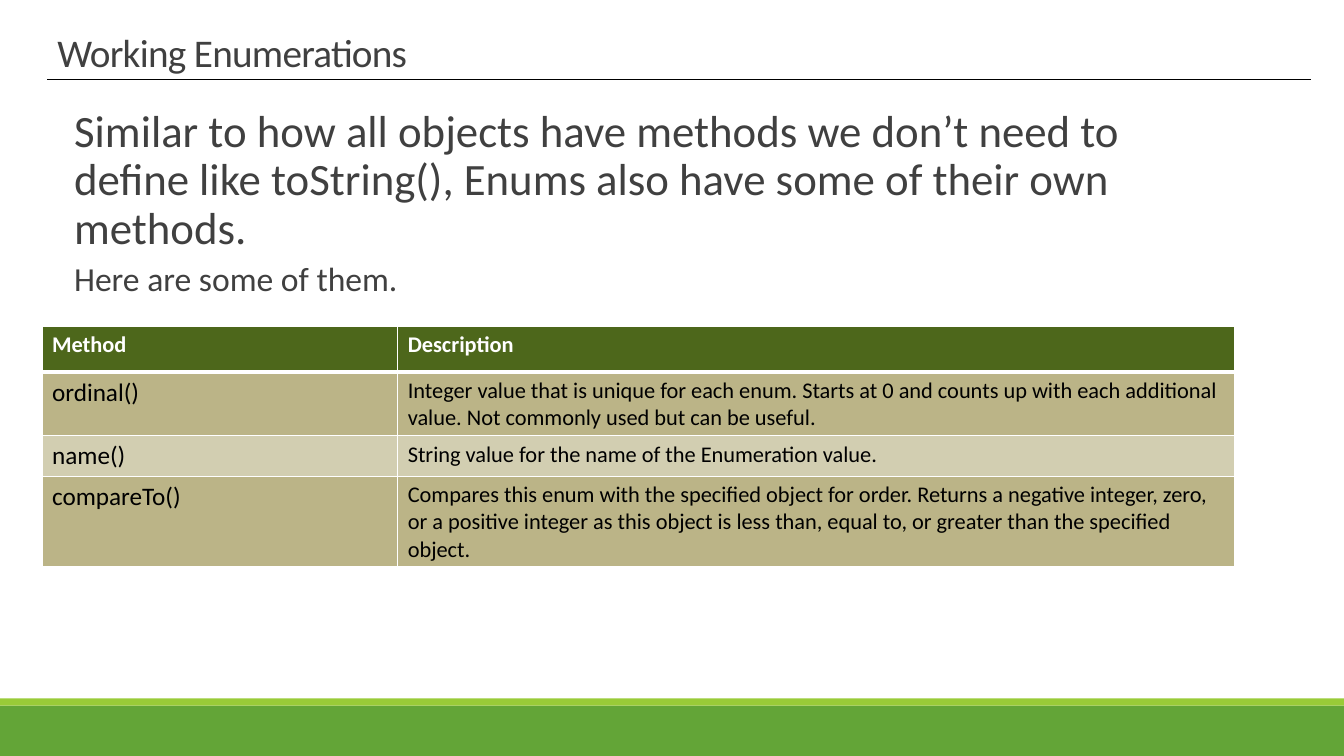
from lxml import etree
from pptx import Presentation
from pptx.dml.color import RGBColor
from pptx.enum.shapes import MSO_CONNECTOR, MSO_SHAPE
from pptx.enum.text import MSO_ANCHOR
from pptx.oxml.ns import qn
from pptx.util import Inches, Pt

RECT = MSO_SHAPE.RECTANGLE
LINE = MSO_CONNECTOR.STRAIGHT
BOTTOM = MSO_ANCHOR.BOTTOM
FONT = "Calibri"
HEX = {
    "green": "63A537", "lime": "99CB38", "gray": "404040",
    "black": "000000", "white": "FFFFFF",
    "head": "4D671B", "odd": "BBB487", "even": "D2CEB1",
}
TINT = {name: RGBColor.from_string(code) for name, code in HEX.items()}

deck = Presentation()
deck.slide_width, deck.slide_height = Inches(13.33), Inches(7.5)
COL = deck.slide_width / 32
ROW = deck.slide_height / 30
slide = deck.slides.add_slide(deck.slide_layouts[6])
shapes = slide.shapes


def grid(left, top, wide, high):
    """Turn columns and rows of the slide grid into lengths."""
    return int(left * COL), int(top * ROW), int(wide * COL), int(high * ROW)


def add_run(para, text, size, tint, bold=False):
    run = para.add_run()
    run.text = text
    font = run.font
    font.name, font.size, font.bold = FONT, Pt(size), bold
    font.color.rgb = TINT[tint]
    return run


# Footer bands
for tint, top, high in (("green", 28, 2), ("lime", 27.72, 0.28)):
    band = shapes.add_shape(RECT, *grid(0, top, 32, high))
    band.shadow.inherit = False
    band.fill.solid()
    band.fill.fore_color.rgb = TINT[tint]
    band.line.fill.background()

# Title and its rule
title = shapes.add_textbox(*grid(1.13, -3.16, 26.4, 6.36)).text_frame
title.word_wrap = True
title.vertical_anchor = BOTTOM
para = title.paragraphs[0]
para.line_spacing = 0.85
run = add_run(para, "Working Enumerations", 28, "gray")
run.font._element.set("spc", "-50")

rule = shapes.add_connector(LINE, *grid(1.13, 3.16, 31.22, 3.16))
rule.line.color.rgb = TINT["black"]
rule.line.width = Pt(1)
etree.SubElement(rule._element.spPr, qn("a:effectLst"))

# Introduction
body = shapes.add_textbox(*grid(1, 4.12, 28.4, 7.36)).text_frame
body.word_wrap = True
intro = (
    ("Similar to how all objects have methods we don’t need to define like "
     "toString(), Enums also have some of their own methods.", 32),
    ("Here are some of them.", 24),
)
for i, (text, size) in enumerate(intro):
    para = body.add_paragraph() if i else body.paragraphs[0]
    para.line_spacing = 0.9
    para.space_before = Pt(2 if i else 0)
    para.space_after = Pt(4)
    props = para._p.get_or_add_pPr()
    props.set("marL", str(Inches(0.22)))
    props.set("indent", "0")
    add_run(para, text, size, "gray")

# Table of methods
methods = (
    ("Method", "Description"),
    ("ordinal()", "Integer value that is unique for each enum. Starts at 0 and "
     "counts up with each additional value. Not commonly used but can be useful."),
    ("name()", "String value for the name of the Enumeration value."),
    ("compareTo()", "Compares this enum with the specified object for order. "
     "Returns a negative integer, zero, or a positive integer as this object is "
     "less than, equal to, or greater than the specified object."),
)
highs = (1.8, 2.52, 1.6, 3.6)
wides = (8.47, 19.92)
table = shapes.add_table(
    len(highs), len(wides), *grid(1, 12.96, sum(wides), sum(highs))).table
table.horz_banding = False
for column, wide in zip(table.columns, wides):
    column.width = int(wide * COL)
for r, texts in enumerate(methods):
    table.rows[r].height = int(highs[r] * ROW)
    tint = "head" if r == 0 else "odd" if r % 2 else "even"
    for c, text in enumerate(texts):
        cell = table.cell(r, c)
        props = cell._tc.get_or_add_tcPr()
        for side in "LRTB":
            thick = 3 if (r, side) in ((0, "B"), (1, "T")) else 1
            edge = etree.SubElement(props, qn(f"a:ln{side}"), w=str(Pt(thick)))
            fill = etree.SubElement(edge, qn("a:solidFill"))
            etree.SubElement(fill, qn("a:srgbClr"), val=HEX["white"])
        cell.fill.solid()
        cell.fill.fore_color.rgb = TINT[tint]
        size = 18 if r and c == 0 else 16
        ink = "black" if r else "white"
        add_run(cell.text_frame.paragraphs[0], text, size, ink, r == 0)

deck.save("out.pptx")
